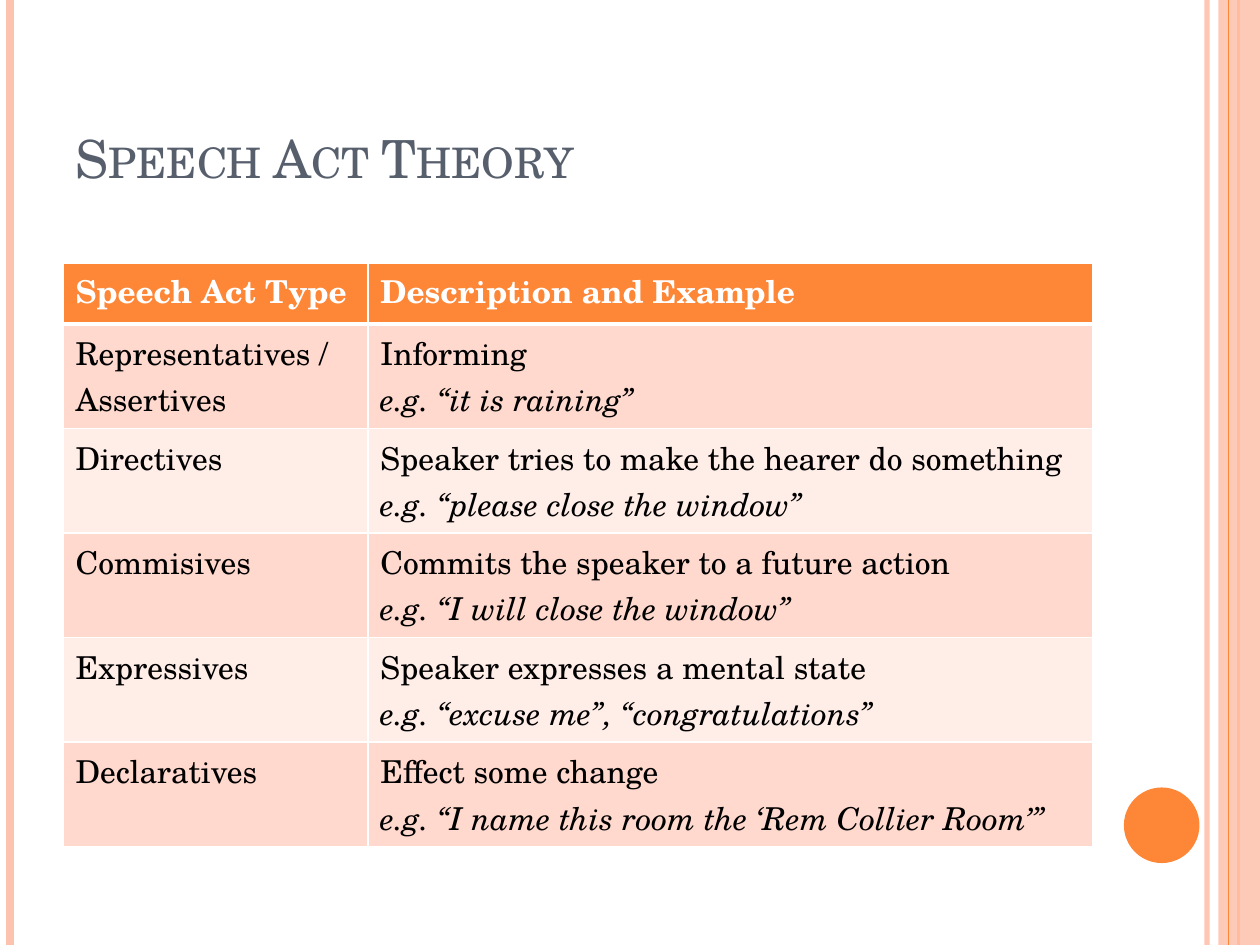
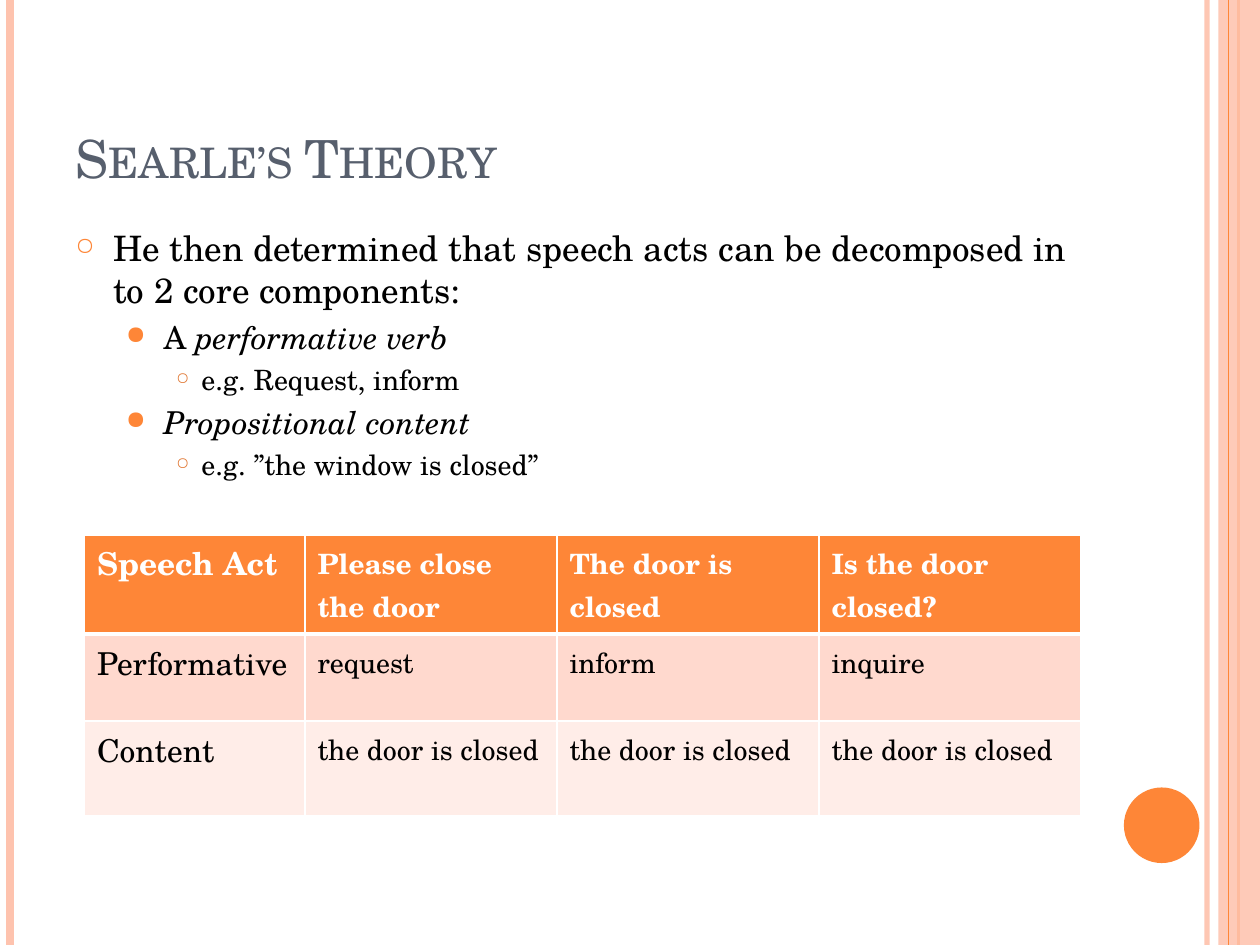
from dataclasses import dataclass

from lxml.etree import SubElement as Sub
from pptx import Presentation
from pptx.dml.color import RGBColor as Rgb
from pptx.enum.shapes import MSO_CONNECTOR as Link, MSO_SHAPE as Form
from pptx.enum.text import MSO_ANCHOR as Anchor
from pptx.oxml.ns import qn
from pptx.util import Inches, Pt


@dataclass(frozen=True)
class Theme:
    """Colours, font and type sizes of the deck."""

    face: str = "TeX Gyre Schola"
    ink: str = "000000"
    white: str = "FFFFFF"
    slate: str = "575F6D"
    flame: str = "FE8637"
    rust: str = "E07631"
    peach: str = "FEC3AE"
    bands: tuple = ("FFEDE8", "FFD9CE")
    title: int = 30
    lead: int = 20
    text: int = 18
    small: int = 16


LOOK = Theme()
WIDE, HIGH = 10, 7.5
HEAD = (0.5, 0.3, 8.17, 1.25)
BODY = (0.5, 1.75, 8.17, 5.33)
RULES = [
    (9.58, 3, LOOK.peach, 93),
    (0.08, 4.5, LOOK.peach, 100),
    (9.83, 1.5, LOOK.flame, 100),
]
SEAM = (9.75, 0.75, LOOK.flame, 100)
LEADING = {LOOK.text: 26.2, LOOK.small: 24.5}
LEVELS = [
    (0.3, 0.3, 6, "○", LOOK.flame, 70, LOOK.lead),
    (0.7, 0.3, 4, "●", LOOK.flame, 80, LOOK.text),
    (1, 0.2, 4, "○", LOOK.rust, 60, LOOK.small),
]

ACTS = [
    ["Speech Act Type", "Description and Example"],
    ["Representatives / Assertives", "Informing\n*e.g. “it is raining”*"],
    ["Directives", "Speaker tries to make the hearer do something\n"
     "*e.g. “please close the window”*"],
    ["Commisives", "Commits the speaker to a future action\n"
     "*e.g. “I will close the window”*"],
    ["Expressives", "Speaker expresses a mental state\n"
     "*e.g. “excuse me”, “congratulations”*"],
    ["Declaratives", "Effect some change\n"
     "*e.g. “I name this room the ‘Rem Collier Room’”*"],
]
POINTS = [
    (0, "He then determined that speech acts can be decomposed in to 2 core components:"),
    (1, "A *performative verb*"),
    (2, "e.g. Request, inform"),
    (1, "*Propositional content*"),
    (2, "e.g. ”the window is closed”"),
]
PARTS = [
    ["Speech Act", "Please close the door", "The door is closed", "Is the door closed?"],
    ["Performative", "request", "inform", "inquire"],
    ["Content"] + ["the door is closed"] * 3,
]


def paint(fill, color, alpha=100):
    """Give a fill one colour, see-through below 100 percent."""
    fill.solid()
    fill.fore_color.rgb = Rgb.from_string(color)
    if alpha < 100:
        tone = fill._xPr.find(".//" + qn("a:srgbClr"))
        Sub(tone, qn("a:alpha"), val=str(alpha * 1000))


def write(par, text, size, color, bold=False):
    """Fill a paragraph; stars enclose italics and newlines break lines."""
    font = par.font
    font.name, font.size, font.bold = LOOK.face, Pt(size), bold
    font.color.rgb = Rgb.from_string(color)
    for turn, part in enumerate(text.split("*")):
        for row, line in enumerate(part.split("\n")):
            if row:
                par.add_line_break()
            if line:
                run = par.add_run()
                run.text = line
                if turn % 2:
                    run.font.italic = True


def rule(slide, left, width, color, alpha):
    """Draw a full-height vertical line."""
    x = Inches(left)
    line = slide.shapes.add_connector(Link.STRAIGHT, x, 0, x, Inches(HIGH))
    line.line.width = Pt(width)
    paint(line.line.fill, color, alpha)
    Sub(line._element.spPr, qn("a:effectLst"))


def block(slide, form, box, color, alpha=100):
    """Draw a plain shape without outline."""
    shape = slide.shapes.add_shape(form, *map(Inches, box))
    shape.shadow.inherit = False
    shape.line.fill.background()
    paint(shape.fill, color, alpha)


def frame(slide, box, anchor=Anchor.TOP):
    """Add a wrapping text box and return its text frame."""
    area = slide.shapes.add_textbox(*map(Inches, box)).text_frame
    area.word_wrap = True
    area.vertical_anchor = anchor
    return area


def base(deck, title):
    """Add a slide with the side bands, the disc and a title."""
    slide = deck.slides.add_slide(deck.slide_layouts[6])
    for item in RULES:
        rule(slide, *item)
    block(slide, Form.RECTANGLE, (9.67, 0, 0.33, HIGH), LOOK.peach, 87)
    rule(slide, *SEAM)
    block(slide, Form.OVAL, (8.92, 6.25, 0.6, 0.6), LOOK.flame)
    par = frame(slide, HEAD, Anchor.BOTTOM).paragraphs[0]
    write(par, title, LOOK.title, LOOK.slate)
    par.font._rPr.set("cap", "small")
    return slide


def bullet(par, level):
    """Set the indent, gap and bullet of an outline level."""
    left, hang, gap, mark, color, scale, _ = LEVELS[level]
    par.level = level
    par.space_before = Pt(gap)
    prop = par._p.get_or_add_pPr()
    prop.set("marL", str(Inches(left)))
    prop.set("indent", str(-Inches(hang)))
    Sub(Sub(prop, qn("a:buClr")), qn("a:srgbClr"), val=color)
    Sub(prop, qn("a:buSzPct"), val=str(scale * 1000))
    Sub(prop, qn("a:buChar"), char=mark)


def outline(slide, box, points):
    """Write a bulleted outline into a box."""
    area = frame(slide, box)
    for spot, (level, text) in enumerate(points):
        par = area.add_paragraph() if spot else area.paragraphs[0]
        bullet(par, level)
        write(par, text, LEVELS[level][-1], LOOK.ink)


def border(cell, top, base):
    """Draw white cell borders with the given top and bottom widths."""
    prop = cell._tc.get_or_add_tcPr()
    for side, width in zip("LRTB", (1, 1, top, base)):
        line = Sub(prop, qn("a:ln" + side), w=str(Pt(width)))
        Sub(Sub(line, qn("a:solidFill")), qn("a:srgbClr"), val=LOOK.white)


def grid(slide, spot, cols, rows, data, size):
    """Build a banded table; size is the type size right of the first column."""
    box = (*spot, sum(cols), sum(rows))
    table = slide.shapes.add_table(len(rows), len(cols), *map(Inches, box)).table
    for col, width in zip(table.columns, cols):
        col.width = Inches(width)
    for r, (high, texts) in enumerate(zip(rows, data)):
        table.rows[r].height = Inches(high)
        for c, text in enumerate(texts):
            cell = table.cell(r, c)
            border(cell, 3 if r == 1 else 1, 1 if r else 3)
            paint(cell.fill, LOOK.bands[r % 2] if r else LOOK.flame)
            par = cell.text_frame.paragraphs[0]
            point = size if c else LOOK.text
            par.line_spacing = Pt(LEADING[point])
            write(par, text, point, LOOK.ink if r else LOOK.white, r == 0)


def main():
    """Build both slides and save the deck."""
    deck = Presentation()
    deck.slide_width, deck.slide_height = Inches(WIDE), Inches(HIGH)
    slide = base(deck, "Speech Act Theory")
    grid(slide, (0.5, 2.09), [2.42, 5.75], [0.48] + [0.83] * 5, ACTS, LOOK.text)
    slide = base(deck, "Searle’s Theory")
    outline(slide, BODY, POINTS)
    grid(slide, (0.67, 4.25), [1.75, 2, 2.08, 2.08], [0.78, 0.69, 0.75], PARTS, LOOK.small)
    deck.save("out.pptx")


if __name__ == "__main__":
    main()
